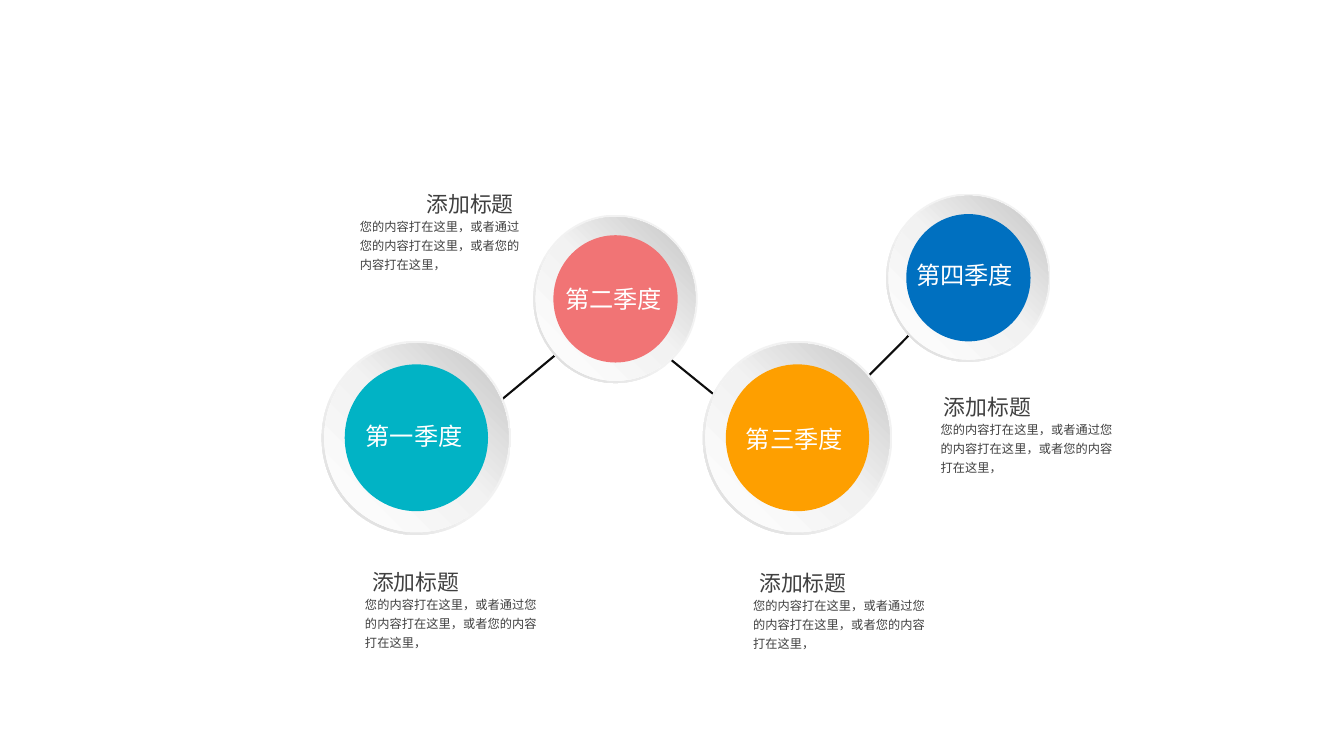
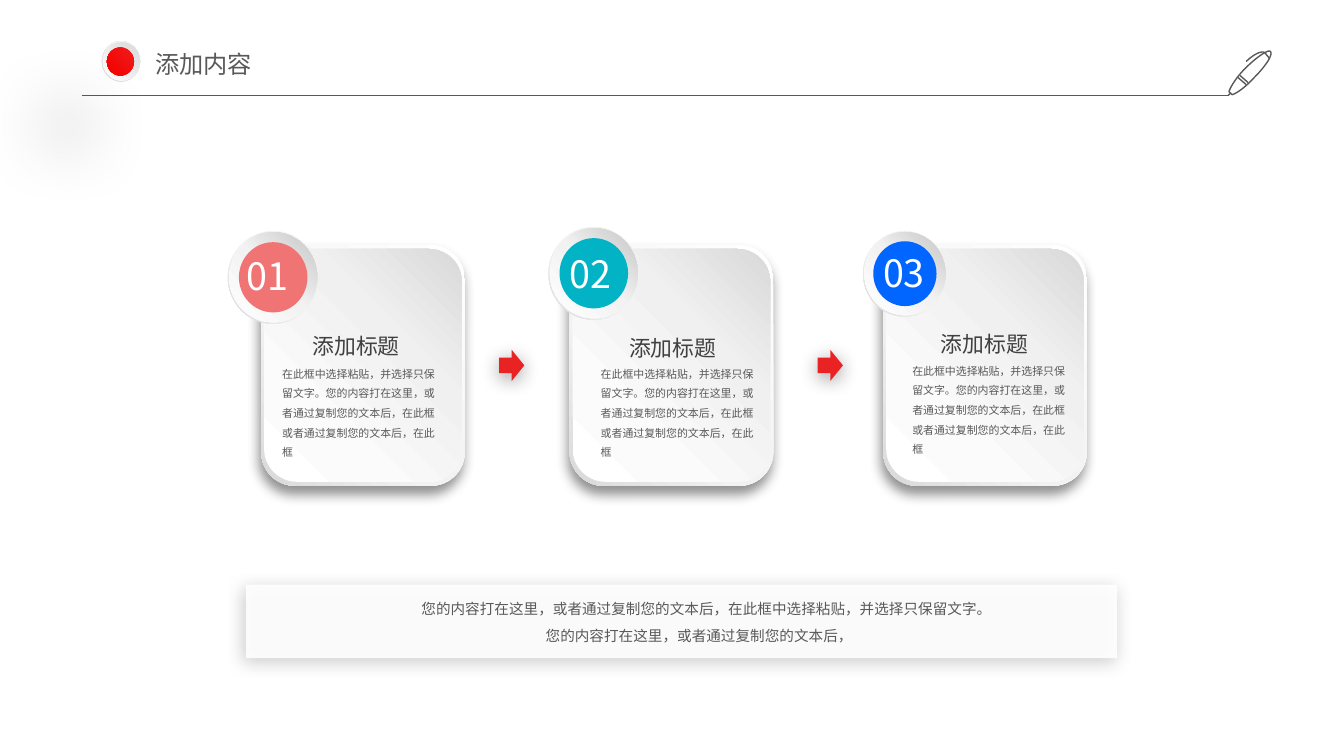
from dataclasses import dataclass
from typing import NamedTuple

from lxml import etree
from pptx import Presentation
from pptx.dml.color import RGBColor
from pptx.enum.shapes import MSO_CONNECTOR, MSO_SHAPE
from pptx.enum.text import MSO_AUTO_SIZE, PP_ALIGN
from pptx.oxml.ns import qn
from pptx.util import Inches, Pt

OVAL = MSO_SHAPE.OVAL
DONUT = MSO_SHAPE.DONUT
ROUND = MSO_SHAPE.ROUNDED_RECTANGLE
RECT = MSO_SHAPE.RECTANGLE
ARROW = MSO_SHAPE.RIGHT_ARROW
STRAIGHT = MSO_CONNECTOR.STRAIGHT
LEFT = PP_ALIGN.LEFT
CENTER = PP_ALIGN.CENTER
GROW = MSO_AUTO_SIZE.SHAPE_TO_FIT_TEXT

FONT = "Noto Sans CJK SC"
WHITE = RGBColor(0xFF, 0xFF, 0xFF)
BLACK = RGBColor(0x00, 0x00, 0x00)
INK = RGBColor(0x0D, 0x0D, 0x0D)
DARK = RGBColor(0x40, 0x40, 0x40)
GRAY = RGBColor(0x59, 0x59, 0x59)
PALE = RGBColor(0xF2, 0xF2, 0xF2)
MIST = RGBColor(0xFB, 0xFB, 0xFB)
CLOUD = RGBColor(0xF0, 0xF0, 0xF0)
SILVER = RGBColor(0xD9, 0xD9, 0xD9)
STEEL = RGBColor(0xC5, 0xC5, 0xC5)
PEARL = RGBColor(0xFE, 0xFE, 0xFE)
TEAL = RGBColor(0x01, 0xB3, 0xC5)
CORAL = RGBColor(0xF1, 0x74, 0x75)
AMBER = RGBColor(0xFE, 0x9F, 0x00)
BLUE = RGBColor(0x00, 0x70, 0xC0)
AZURE = RGBColor(0x00, 0x66, 0xFF)
RED = RGBColor(0xE9, 0x23, 0x24)
RUBY = RGBColor(0xF2, 0x00, 0x00)
ROSE = RGBColor(0xF1, 0x1B, 0x1B)

TITLE = "添加标题"
NOTE = "您的内容打在这里，或者通过您的内容打在这里，或者您的内容打在这里，"
BODY = "在此框中选择粘贴，并选择只保留文字。您的内容打在这里，或者通过复制您的文本后，在此框或者通过复制您的文本后，在此框"
FOOT = "您的内容打在这里，或者通过复制您的文本后，在此框中选择粘贴，并选择只保留文字。您的内容打在这里，或者通过复制您的文本后，"


class Box(NamedTuple):
    x: float
    y: float
    w: float
    h: float

    def inset(self, dx: float, dy: float) -> "Box":
        return Box(self.x + dx, self.y + dy, self.w - 2 * dx, self.h - 2 * dy)

    def lengths(self) -> list:
        return [Inches(v) for v in self]


class Fade(NamedTuple):
    stops: tuple
    angle: int = 0
    focus: str = ""


class Shade(NamedTuple):
    alpha: int
    blur: int
    dist: int
    angle: int


@dataclass
class Style:
    size: float
    color: RGBColor
    space: float = 1.0
    pad: tuple = (0.1, 0.05)
    align: PP_ALIGN = LEFT


@dataclass
class Badge:
    x: float
    y: float
    w: float
    color: RGBColor
    text: str
    at: Box


@dataclass
class Caption:
    head: Box
    body: Box


RIM = Fade(((0, PALE), (55, PALE), (100, SILVER)), 135)
DISC = Fade(((0, WHITE), (51, PALE), (100, STEEL)), 315)
EDGE = Fade(((0, WHITE), (62, PALE), (100, SILVER)), 135)
PANEL = Fade(((3, WHITE), (27, MIST), (65, CLOUD), (100, SILVER)), 315)

HEAD = Style(15.6, DARK, 1.5, (0.09, 0))
SMALL = Style(8.7, DARK, 1.3, (0.09, 0.04))
TINY = Style(7.8, GRAY, 1.5)
LABEL = Style(17.3, WHITE)
NUMBER = Style(26.9, WHITE)
TOP = Style(17.3, GRAY, 1.0, (0.12, 0.06))
BASE = Style(10.4, GRAY, 1.5, (0.1, 0.05), CENTER)


def tint(node, color: RGBColor, alpha: int = 100) -> None:
    mark = etree.SubElement(node, qn("a:srgbClr"), val=str(color))
    if alpha < 100:
        etree.SubElement(mark, qn("a:alpha"), val=str(alpha * 1000))


def blend(shape, fade: Fade) -> None:
    shape.fill.gradient()
    node = shape._element.spPr.find(qn("a:gradFill"))
    for child in list(node):
        node.remove(child)
    stops = etree.SubElement(node, qn("a:gsLst"))
    for pos, color in fade.stops:
        tint(etree.SubElement(stops, qn("a:gs"), pos=str(pos * 1000)), color)
    if fade.focus:
        kind = etree.SubElement(node, qn("a:path"), path="circle")
        full = {side: "100000" for side in fade.focus}
        etree.SubElement(kind, qn("a:fillToRect"), **full)
    else:
        etree.SubElement(node, qn("a:lin"), ang=str(fade.angle * 60000), scaled="0")


def cast(shape, shade: Shade) -> None:
    effects = shape._element.spPr.find(qn("a:effectLst"))
    node = etree.SubElement(
        effects, qn("a:outerShdw"), blurRad=str(Pt(shade.blur)),
        dist=str(Pt(shade.dist)), dir=str(shade.angle * 60000),
        algn="ctr", rotWithShape="0")
    tint(node, BLACK, shade.alpha)


def block(slide, kind: MSO_SHAPE, box: Box, fill, shade: Shade | None = None):
    shape = slide.shapes.add_shape(kind, *box.lengths())
    if isinstance(fill, Fade):
        blend(shape, fill)
    else:
        shape.fill.solid()
        shape.fill.fore_color.rgb = fill
    shape.line.fill.background()
    shape.shadow.inherit = False
    if shade:
        cast(shape, shade)
    return shape


def write(slide, box: Box, text: str, style: Style) -> None:
    frame = slide.shapes.add_textbox(*box.lengths()).text_frame
    frame.word_wrap = True
    frame.auto_size = GROW
    frame.margin_left = frame.margin_right = Inches(style.pad[0])
    frame.margin_top = frame.margin_bottom = Inches(style.pad[1])
    para = frame.paragraphs[0]
    para.alignment = style.align
    para.line_spacing = style.space
    run = para.add_run()
    run.text = text
    run.font.size = Pt(style.size)
    run.font.name = FONT
    run.font.color.rgb = style.color
    etree.SubElement(run.font._element, qn("a:ea"), typeface=FONT)


def rule(slide, start: tuple, end: tuple, color: RGBColor, width: float) -> None:
    ends = [Inches(v) for v in (*start, *end)]
    line = slide.shapes.add_connector(STRAIGHT, *ends)
    line.line.color.rgb = color
    line.line.width = Pt(width)
    etree.SubElement(line._element.spPr, qn("a:effectLst"))


def medal(slide, badge: Badge) -> None:
    w, h = badge.w, badge.w * 1.025
    ring = Box(badge.x, badge.y, w, h)
    block(slide, DONUT, ring, RIM).adjustments[0] = 0.05
    block(slide, OVAL, ring.inset(w * 0.014, h * 0.014), DISC)
    block(slide, OVAL, ring.inset(w * 0.122, h * 0.122), badge.color)
    style = LABEL if w > 1 else NUMBER
    write(slide, badge.at, badge.text, style)


def describe(slide, caption: Caption, text: str, style: Style) -> None:
    write(slide, caption.body, text, style)
    write(slide, caption.head, TITLE, HEAD)


def curve(a: tuple, b: tuple, c: tuple, d: tuple, steps: int = 12) -> list:
    points = []
    for i in range(1, steps + 1):
        t = i / steps
        u = 1 - t
        points.append(tuple(
            u**3 * p + 3 * u * u * t * q + 3 * u * t * t * r + t**3 * s
            for p, q, r, s in zip(a, b, c, d)))
    return points


def trace(start: tuple, *bends: tuple) -> list:
    points = [start]
    for bend in bends:
        points += curve(points[-1], *bend)
    return points


def pen(slide) -> None:
    barrel = trace(
        (12.6, 0.51),
        ((12.58, 0.49), (12.47, 0.56), (12.35, 0.68)),
        ((12.26, 0.77), (12.2, 0.87), (12.19, 0.91)),
        ((12.2, 0.92), (12.21, 0.93), (12.22, 0.94)),
        ((12.26, 0.93), (12.35, 0.87), (12.44, 0.77)),
        ((12.56, 0.65), (12.63, 0.54), (12.6, 0.51)))
    clip = trace(
        (12.59, 0.58),
        ((12.59, 0.58), (12.57, 0.55), (12.54, 0.52)),
        ((12.54, 0.52), (12.49, 0.49), (12.36, 0.61)))
    bands = [[(12.36, 0.84), (12.28, 0.77)], [(12.3, 0.75), (12.38, 0.82)]]
    tip = [(12.2, 0.93), (12.18, 0.95)]
    strokes = [[(Inches(x), Inches(y)) for x, y in stroke]
               for stroke in (*bands, barrel, tip, clip)]
    draft = slide.shapes.build_freeform(*strokes[0][0])
    for i, stroke in enumerate(strokes):
        if i:
            draft.move_to(*stroke[0])
        draft.add_line_segments(stroke[1:], close=False)
    shape = draft.convert_to_shape()
    shape.fill.background()
    shape.line.color.rgb = GRAY
    shape.line.width = Pt(1)
    shape.shadow.inherit = False


def header(slide, text: str) -> None:
    rule(slide, (0.81, 0.95), (12.18, 0.95), GRAY, 0.75)
    pen(slide)
    write(slide, Box(1.42, 0.43, 2.29, 0.41), text, TOP)
    block(slide, OVAL, Box(1.01, 0.41, 0.38, 0.4),
          Fade(((0, WHITE), (100, SILVER)), focus="lb"), Shade(25, 50, 60, 130))
    block(slide, OVAL, Box(1.02, 0.42, 0.37, 0.38),
          Fade(((0, SILVER), (100, PEARL)), focus="lb"))
    block(slide, OVAL, Box(1.06, 0.47, 0.27, 0.28),
          Fade(((0, RUBY), (100, ROSE)), focus="tr"))


def quarters(slide) -> None:
    rule(slide, (4.38, 4.46), (6.04, 3.08), INK, 1.5)
    rule(slide, (7.84, 4.53), (6.04, 3.07), INK, 1.5)
    rule(slide, (7.82, 4.53), (9.27, 3.07), INK, 1.5)
    for badge in (
        Badge(3.19, 3.38, 1.88, TEAL, "第一季度", Box(3.53, 4.13, 1.36, 0.39)),
        Badge(5.29, 2.13, 1.63, CORAL, "第二季度", Box(5.51, 2.77, 1.43, 0.39)),
        Badge(8.79, 1.92, 1.63, BLUE, "第四季度", Box(8.99, 2.53, 1.36, 0.39)),
        Badge(6.97, 3.38, 1.88, AMBER, "第三季度", Box(7.3, 4.16, 1.34, 0.39)),
    ):
        medal(slide, badge)
    for hx, x, y, w in ((4.14, 3.48, 1.76, 1.79), (3.6, 3.53, 5.51, 1.99),
                        (7.44, 7.38, 5.52, 1.99), (9.27, 9.24, 3.78, 1.97)):
        note = Caption(Box(hx, y, 1.13, 0.39), Box(x, y + 0.33, w, 0.66))
        describe(slide, note, NOTE, SMALL)


def steps(slide) -> None:
    for x in (2.59, 5.65, 8.76):
        card = Box(x, 2.43, 2.02, 2.39)
        block(slide, ROUND, card, EDGE, Shade(43, 9, 6, 103))
        block(slide, ROUND, card.inset(0.03, 0.04), PANEL)
    for badge in (
        Badge(2.26, 2.29, 0.9, CORAL, "01", Box(2.35, 2.46, 0.72, 0.55)),
        Badge(5.44, 2.25, 0.9, TEAL, "02", Box(5.55, 2.44, 0.73, 0.55)),
        Badge(8.56, 2.29, 0.83, AZURE, "03", Box(8.66, 2.43, 0.66, 0.55)),
    ):
        medal(slide, badge)
    for hx, hy, x, y in ((3.01, 3.17, 2.7, 3.53), (6.15, 3.19, 5.86, 3.53),
                         (9.24, 3.15, 8.95, 3.5)):
        note = Caption(Box(hx, hy, 1.43, 0.39), Box(x, y, 1.8, 1.08))
        describe(slide, note, BODY, TINY)
    for x in (4.95, 8.11):
        block(slide, ARROW, Box(x, 3.47, 0.25, 0.31), RED, Shade(40, 14, 3, 90))
    strip = block(slide, RECT, Box(2.44, 5.8, 8.64, 0.73), WHITE, Shade(22, 13, 3, 135))
    color = strip._element.spPr.find(qn("a:solidFill"))[0]
    etree.SubElement(color, qn("a:alpha"), val="90000")
    write(slide, Box(4.07, 5.82, 5.73, 0.63), FOOT, BASE)
    header(slide, "添加内容")


def main() -> None:
    deck = Presentation()
    deck.slide_width = Inches(13.33)
    deck.slide_height = Inches(7.5)
    blank = deck.slide_layouts[6]
    for draw in (quarters, steps):
        draw(deck.slides.add_slide(blank))
    deck.save("out.pptx")


if __name__ == "__main__":
    main()
